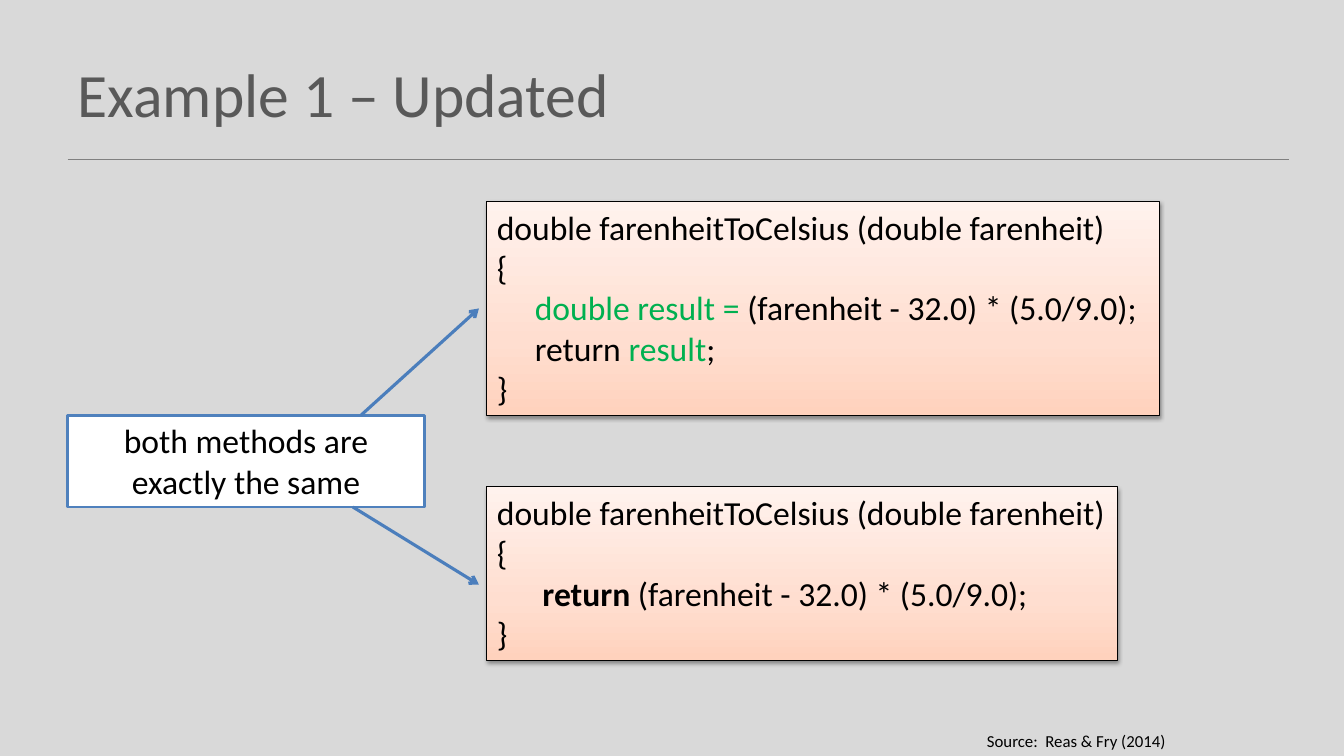
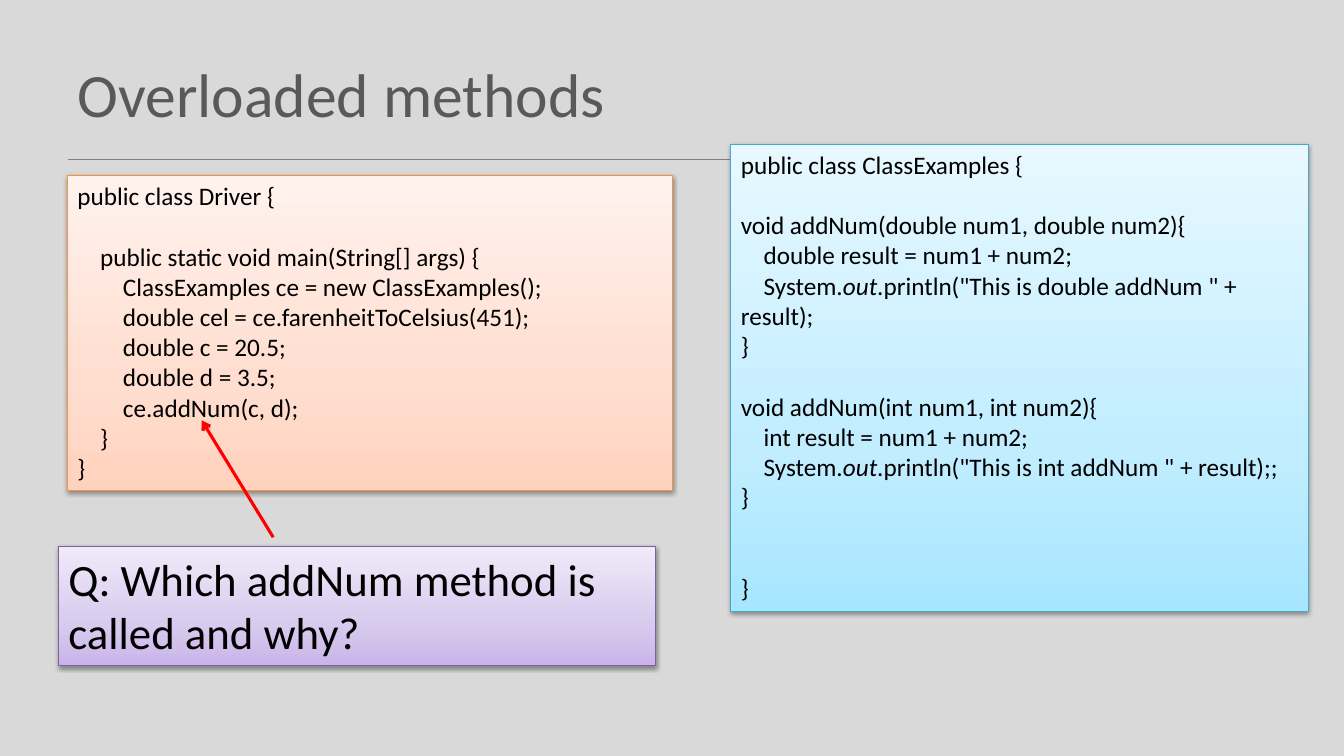
from lxml import etree
from pptx import Presentation
from pptx.dml.color import RGBColor
from pptx.enum.shapes import MSO_CONNECTOR, MSO_SHAPE
from pptx.enum.text import MSO_ANCHOR, PP_ALIGN
from pptx.oxml import parse_xml
from pptx.oxml.ns import nsdecls, qn
from pptx.util import Inches, Pt

LEFT, CENTER, RIGHT = PP_ALIGN.LEFT, PP_ALIGN.CENTER, PP_ALIGN.RIGHT
TOP, MIDDLE = MSO_ANCHOR.TOP, MSO_ANCHOR.MIDDLE
RECTANGLE, STRAIGHT = MSO_SHAPE.RECTANGLE, MSO_CONNECTOR.STRAIGHT

FONT = "Calibri"
SLIDE_W, SLIDE_H = 13.33, 7.5
MARGIN = 0.67
TITLE_AREA = (MARGIN, 0.3, 12, 1.25)
RULE = ((MARGIN, 1.58), (12.78, 1.58))
TITLE_ONLY = 5

COLORS = {
    "background": "D9D9D9", "title": "595959", "rule": "808080",
    "text": "000000", "added": "00B050", "note": "FFFFFF",
    "note_edge": "4F81BD", "arrow": "4B7EBC", "question_arrow": "FF0000",
    "orange_edge": "F69240", "blue_edge": "46AAC5", "purple_edge": "7D60A0",
}
# Gradient stops from the bottom edge to the top edge
GRADIENTS = {
    "orange": ((0, "FFD2BD"), (35, "FFDED0"), (100, "FFF2ED")),
    "blue": ((0, "A7E6FF"), (35, "C1EDFF"), (100, "E7F8FF")),
    "purple": ((0, "C9B5E8"), (35, "D8CBEE"), (100, "F0EAF9")),
}

# A text is a list of paragraphs, a paragraph a list of lines,
# and a line a string or a list of (words, style) pairs.
SIGNATURE = "double farenheitToCelsius (double farenheit)"
LONG_METHOD = [
    [SIGNATURE], ["{"],
    [[("     ", ""), ("double result = ", "added"),
      ("(farenheit - 32.0) * (5.0/9.0);", "")]],
    [[("     return ", ""), ("result", "added"), (";", "")]],
    ["}"],
]
SHORT_METHOD = [
    [SIGNATURE], ["{"],
    [[("      ", ""), ("return", "bold"),
      (" (farenheit - 32.0) * (5.0/9.0);", "")]],
    ["}"],
]
DRIVER_CLASS = [[
    "public class Driver {",
    "",
    "    public static void main(String[] args) {",
    "        ClassExamples ce = new ClassExamples();",
    "        double cel = ce.farenheitToCelsius(451);",
    "        double c = 20.5;",
    "        double d = 3.5;",
    "        ce.addNum(c, d);",
    "    }",
    "}",
]]
EXAMPLES_CLASS = [[
    "public class ClassExamples {",
    "",
    "void addNum(double num1, double num2){",
    "    double result = num1 + num2;",
    [("    System.", ""), ("out", "italic"),
     ('.println("This is double addNum " + result);', "")],
    "}",
    "",
    "void addNum(int num1, int num2){",
    "    int result = num1 + num2;",
    [("    System.", ""), ("out", "italic"),
     ('.println("This is int addNum " + result);;', "")],
    "}",
    "",
    "",
    "}",
]]

SLIDES = [
    {
        "title": "Example 1 – Updated",
        "panels": [
            ((4.83, 4.83, 6.25, 1.72), "orange", "text", 24, SHORT_METHOD),
            ((4.83, 2, 6.67, 2.12), "orange", "text", 24, LONG_METHOD),
        ],
        "note": ((MARGIN, 4.12, 3.54, 0.91),
                 [["both methods are exactly the same"]]),
        "arrows": [
            ((3.5, 5.03), (4.75, 5.8), "arrow"),
            ((3.58, 4.12), (4.75, 3.06), "arrow"),
        ],
        "source": ((5.58, 7.2, 6.08, 0.3), [["Source:  Reas & Fry (2014)"]]),
    },
    {
        "title": "Overloaded methods",
        "panels": [
            ((MARGIN, 1.74, 6, 3.13), "orange", "orange_edge", 18,
             DRIVER_CLASS),
            ((7.25, 1.43, 5.73, 4.64), "blue", "blue_edge", 18,
             EXAMPLES_CLASS),
            ((0.58, 5.42, 5.92, 1.18), "purple", "purple_edge", 32,
             [["Q: Which addNum method is called and why?"]]),
        ],
        "arrows": [((2.71, 5.33), (2, 4.17), "question_arrow")],
    },
]


def rgb(name):
    return RGBColor.from_string(COLORS[name])


def inches(lengths):
    return [Inches(length) for length in lengths]


def set_font(paragraph, size, color="text"):
    paragraph.font.name = FONT
    paragraph.font.size = Pt(size)
    paragraph.font.color.rgb = rgb(color)


def write(frame, paragraphs, size, align=LEFT):
    frame.word_wrap = True
    frame.vertical_anchor = TOP
    for number, lines in enumerate(paragraphs):
        paragraph = frame.add_paragraph() if number else frame.paragraphs[0]
        paragraph.alignment = align
        set_font(paragraph, size)
        for row, line in enumerate(lines):
            if row:
                paragraph.add_line_break()
            pieces = [(line, "")] if isinstance(line, str) else line
            for words, style in pieces:
                if not words:
                    continue
                run = paragraph.add_run()
                run.text = words
                if style == "bold":
                    run.font.bold = True
                elif style == "italic":
                    run.font.italic = True
                elif style:
                    run.font.color.rgb = rgb(style)


def add_box(slide, area, edge, edge_width):
    box = slide.shapes.add_shape(RECTANGLE, *inches(area))
    box.line.color.rgb = rgb(edge)
    box.line.width = Pt(edge_width)
    box.shadow.inherit = False
    return box


def add_panel(slide, area, gradient, edge, size, paragraphs):
    """Add a text box with a vertical gradient and a soft shadow below."""
    panel = add_box(slide, area, edge, 0.75)
    panel.fill.gradient()
    stops = "".join(
        f'<a:gs pos="{share * 1000}"><a:srgbClr val="{color}"/></a:gs>'
        for share, color in GRADIENTS[gradient])
    properties = panel.element.spPr
    properties.replace(properties.find(qn("a:gradFill")), parse_xml(
        f'<a:gradFill {nsdecls("a")} rotWithShape="1">'
        f'<a:gsLst>{stops}</a:gsLst>'
        '<a:lin ang="16200000" scaled="0"/></a:gradFill>'))
    properties.find(qn("a:effectLst")).append(parse_xml(
        f'<a:outerShdw {nsdecls("a")} blurRad="40000" dist="20000" '
        'dir="5400000" rotWithShape="0"><a:srgbClr val="000000">'
        '<a:alpha val="38000"/></a:srgbClr></a:outerShdw>'))
    write(panel.text_frame, paragraphs, size)


def add_note(slide, area, paragraphs):
    note = add_box(slide, area, "note_edge", 2)
    note.fill.solid()
    note.fill.fore_color.rgb = rgb("note")
    write(note.text_frame, paragraphs, 24, CENTER)


def add_line(slide, start, end, color, width):
    line = slide.shapes.add_connector(STRAIGHT, *inches(start + end))
    line.line.color.rgb = rgb(color)
    line.line.width = Pt(width)
    etree.SubElement(line.element.spPr, qn("a:effectLst"))
    return line


def add_arrow(slide, start, end, color):
    arrow = add_line(slide, start, end, color, 2.25)
    outline = arrow.element.spPr.find(qn("a:ln"))
    etree.SubElement(outline, qn("a:tailEnd"), type="arrow")


def style_layout(layout):
    layout.background.fill.solid()
    layout.background.fill.fore_color.rgb = rgb("background")
    for holder in layout.placeholders:
        if holder.placeholder_format.idx == 0:
            (holder.left, holder.top,
             holder.width, holder.height) = inches(TITLE_AREA)


def add_slide(deck, layout, content):
    slide = deck.slides.add_slide(layout)
    title = slide.shapes.title.text_frame
    title.text = content["title"]
    title.vertical_anchor = MIDDLE
    title.paragraphs[0].alignment = LEFT
    set_font(title.paragraphs[0], 44, "title")
    for panel in content["panels"]:
        add_panel(slide, *panel)
    if "note" in content:
        add_note(slide, *content["note"])
    for arrow in content["arrows"]:
        add_arrow(slide, *arrow)
    if "source" in content:
        area, paragraphs = content["source"]
        source = slide.shapes.add_textbox(*inches(area))
        write(source.text_frame, paragraphs, 12, RIGHT)
    return slide


def main():
    deck = Presentation()
    deck.slide_width, deck.slide_height = inches((SLIDE_W, SLIDE_H))
    layout = deck.slide_layouts[TITLE_ONLY]
    style_layout(layout)
    slides = [add_slide(deck, layout, content) for content in SLIDES]
    # Layouts cannot create connectors, so the shared rule is moved there
    rule = add_line(slides[0], *RULE, "rule", 1)
    layout.shapes.element.append(rule.element)
    deck.save("out.pptx")


if __name__ == "__main__":
    main()
